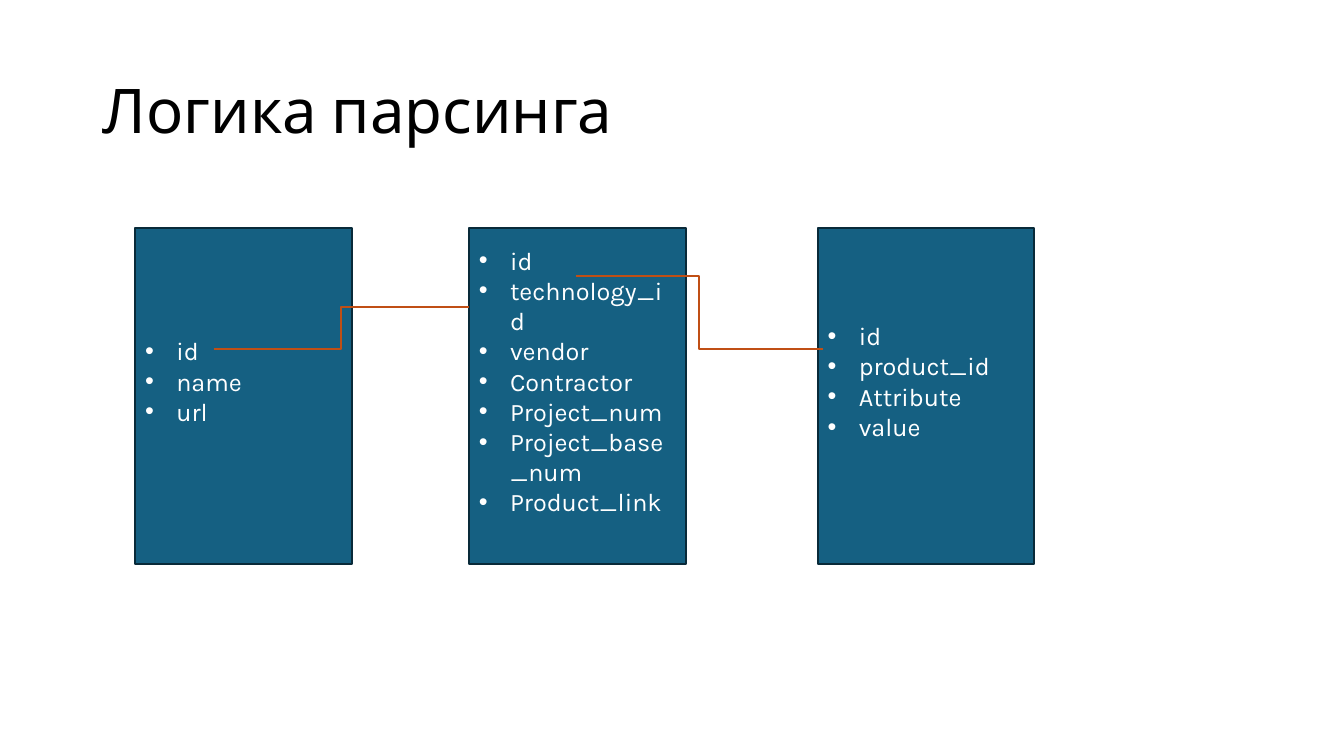
from dataclasses import dataclass

import pptx
import pptx.dml.color
import pptx.enum.shapes
import pptx.enum.text
import pptx.oxml
import pptx.oxml.ns
import pptx.presentation
import pptx.shapes.autoshape
import pptx.slide
import pptx.text.text
import pptx.util

Inches = pptx.util.Inches
Pt = pptx.util.Pt

COLOURS = {
    "title": "000000",
    "table": "156082",
    "border": "092A39",
    "field": "FFFFFF",
    "relation": "C04F15",
}
FONT = "Karla"
TABLE_TOP, TABLE_WIDTH, TABLE_HEIGHT = 2.26, 2.15, 3.34
INDENT = 0.31


@dataclass(frozen=True)
class Table:
    left: float
    fields: tuple[str, ...]


@dataclass(frozen=True)
class Relation:
    start: tuple[float, float]
    end: tuple[float, float]


TABLES = (
    Table(1.34, ("id", "name", "url")),
    Table(4.65, ("id", "technology_id", "vendor", "Contractor",
                 "Project_num", "Project_base_num", "Product_link")),
    Table(8.11, ("id", "product_id", "Attribute", "value")),
)
RELATIONS = (
    Relation((2.12, 3.46), (4.65, 3.05)),
    Relation((5.71, 2.74), (8.16, 3.46)),
)


def colour(name: str) -> pptx.dml.color.RGBColor:
    return pptx.dml.color.RGBColor.from_string(COLOURS[name])


def write(para: pptx.text.text._Paragraph, text: str, *, size: float,
          color: str, spacing: float = 1.0, bullet: bool = False) -> None:
    para.alignment = pptx.enum.text.PP_ALIGN.LEFT
    para.line_spacing = spacing
    if bullet:
        properties = para._p.get_or_add_pPr()
        properties.set("marL", str(Inches(INDENT)))
        properties.set("indent", str(-Inches(INDENT)))
        namespace = pptx.oxml.ns.nsdecls("a")
        for element in ('a:buFont {} typeface="Arial"', 'a:buChar {} char="•"'):
            properties.append(pptx.oxml.parse_xml(f"<{element.format(namespace)}/>"))
    span = para.add_run()
    span.text = text
    span.font.name = FONT
    span.font.size = Pt(size)
    span.font.color.rgb = colour(color)


def draw_title(page: pptx.slide.Slide, text: str) -> None:
    title = page.shapes.title
    title.left, title.top = Inches(0.92), Inches(0.4)
    title.width, title.height = Inches(11.5), Inches(1.45)
    title.text_frame.vertical_anchor = pptx.enum.text.MSO_ANCHOR.MIDDLE
    write(title.text_frame.paragraphs[0], text, size=44, color="title", spacing=0.9)


def draw_table(page: pptx.slide.Slide, table: Table) -> None:
    box = page.shapes.add_shape(
        pptx.enum.shapes.MSO_SHAPE.RECTANGLE, Inches(table.left), Inches(TABLE_TOP),
        Inches(TABLE_WIDTH), Inches(TABLE_HEIGHT))
    box.shadow.inherit = False
    box.fill.solid()
    box.fill.fore_color.rgb = colour("table")
    box.line.color.rgb = colour("border")
    box.line.width = Pt(1.5)
    frame = box.text_frame
    frame.word_wrap = True
    frame.vertical_anchor = pptx.enum.text.MSO_ANCHOR.MIDDLE
    frame.margin_bottom = Inches(0.35)
    for index, field in enumerate(table.fields):
        para = frame.add_paragraph() if index else frame.paragraphs[0]
        write(para, field, size=18, color="field", bullet=True)


def draw_relation(page: pptx.slide.Slide, relation: Relation) -> None:
    points = [Inches(value) for value in (*relation.start, *relation.end)]
    line = page.shapes.add_connector(pptx.enum.shapes.MSO_CONNECTOR.ELBOW, *points)
    line.line.color.rgb = colour("relation")
    line.line.width = Pt(1.5)
    line._element.spPr.append(
        pptx.oxml.parse_xml(f"<a:effectLst {pptx.oxml.ns.nsdecls('a')}/>"))


def main() -> None:
    deck = pptx.Presentation()
    deck.slide_width, deck.slide_height = Inches(13.33), Inches(7.5)
    page = deck.slides.add_slide(deck.slide_layouts.get_by_name("Title Only"))
    draw_title(page, "Логика парсинга")
    for table in TABLES:
        draw_table(page, table)
    for relation in RELATIONS:
        draw_relation(page, relation)
    deck.save("out.pptx")


if __name__ == "__main__":
    main()
